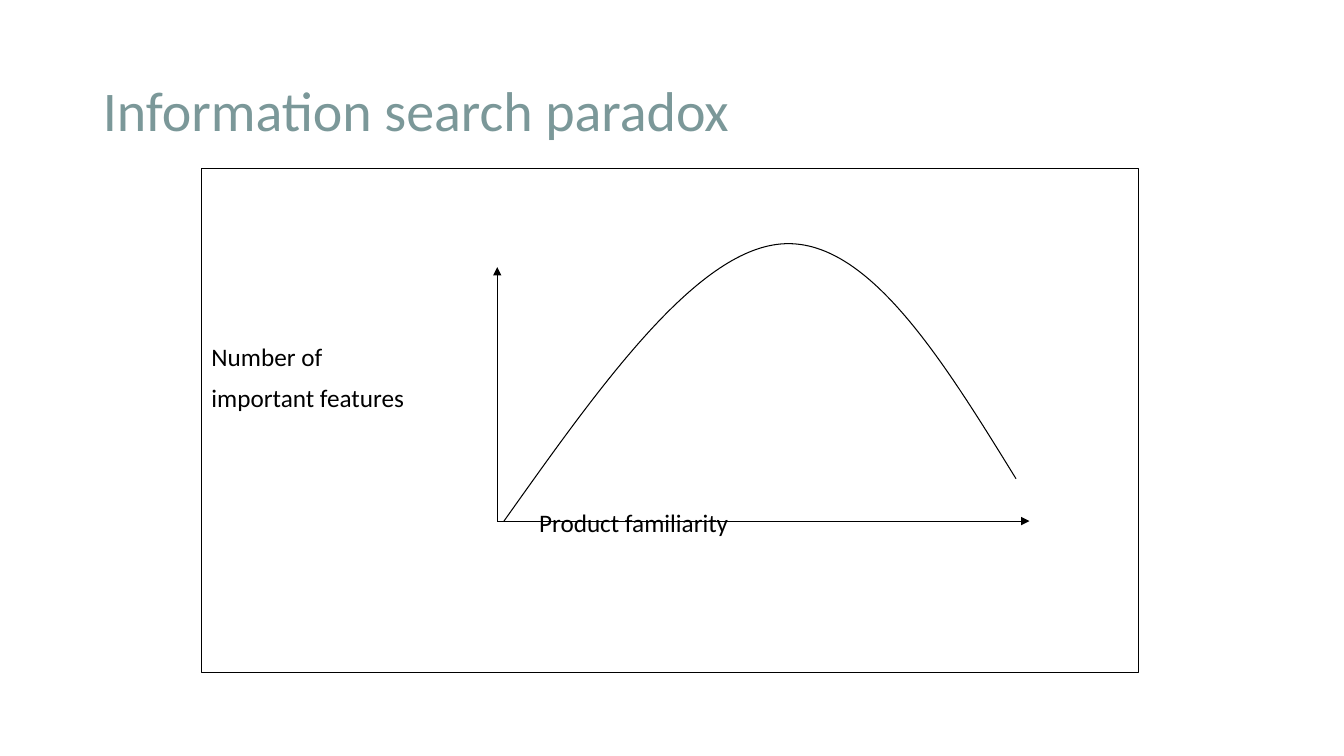
from lxml.etree import SubElement
from pptx import Presentation
from pptx.dml.color import RGBColor
from pptx.enum.shapes import MSO_CONNECTOR, MSO_SHAPE
from pptx.enum.text import MSO_ANCHOR, MSO_AUTO_SIZE, PP_ALIGN
from pptx.oxml.ns import qn
from pptx.util import Inches, Pt

WIDE, HIGH = Inches(13.33), Inches(7.5)


def color(code):
    return RGBColor.from_string(code)


class Canvas:
    """Style and slide; lengths are percentages of the slide's size."""

    font, ink, accent, weight = "Calibri", "000000", "7B9899", 0.75

    def __init__(self, deck):
        self.slide = deck.slides.add_slide(deck.slide_layouts[5])
        self.shapes = self.slide.shapes

    def spot(self, x, y):
        return round(WIDE * x / 100), round(HIGH * y / 100)

    def stroke(self, line):
        line.color.rgb = color(self.ink)
        line.width = Pt(self.weight)

    def letter(self, frame, lines, size, code):
        frame.word_wrap = True
        frame.auto_size = MSO_AUTO_SIZE.NONE
        frame.vertical_anchor = MSO_ANCHOR.MIDDLE
        frame.text = "\n".join(lines)
        for row, para in enumerate(frame.paragraphs):
            para.alignment = PP_ALIGN.LEFT
            para.line_spacing = 0.9
            para.space_before = Pt(10 if row else 0)
            para.font.name = self.font
            para.font.size = Pt(size)
            para.font.color.rgb = color(code)

    def title(self, text, x, y, w, h):
        box = self.shapes.title
        box.left, box.top = self.spot(x, y)
        box.width, box.height = self.spot(w, h)
        self.letter(box.text_frame, [text], 40, self.accent)

    def label(self, lines, x, y, w, h):
        box = self.shapes.add_textbox(*self.spot(x, y), *self.spot(w, h))
        self.letter(box.text_frame, lines, 18, self.ink)

    def frame(self, x, y, w, h):
        box = self.shapes.add_shape(
            MSO_SHAPE.RECTANGLE, *self.spot(x, y), *self.spot(w, h))
        box.shadow.inherit = False
        box.fill.background()
        self.stroke(box.line)

    def arrow(self, start, end):
        link = self.shapes.add_connector(
            MSO_CONNECTOR.STRAIGHT, *self.spot(*start), *self.spot(*end))
        self.stroke(link.line)
        props = link._element.spPr
        SubElement(props.get_or_add_ln(), qn("a:tailEnd"), type="triangle")
        SubElement(props, qn("a:effectLst"))

    def curve(self, start, *points):
        pen = self.shapes.build_freeform(*self.spot(*start))
        pen.add_line_segments([self.spot(*p) for p in points], close=False)
        shape = pen.convert_to_shape()
        shape.shadow.inherit = False
        shape.fill.background()
        self.stroke(shape.line)
        # Turn each three line steps into one cubic Bézier
        trace = shape._element.find(".//" + qn("a:path"))
        steps = trace.findall(qn("a:lnTo"))
        for first in range(0, len(steps), 3):
            bend = SubElement(trace, qn("a:cubicBezTo"))
            for step in steps[first:first + 3]:
                bend.append(step[0])
                trace.remove(step)


def main():
    deck = Presentation()
    deck.slide_width, deck.slide_height = WIDE, HIGH
    page = Canvas(deck)

    # Title and frame
    page.title("Information search paradox", 6.9, 5.33, 86.25, 19.33)
    page.frame(15, 22.27, 69.75, 66.67)

    # Axis labels
    page.label(["Number of", "important features"], 15, 44.1, 20, 12)
    page.label(["Product familiarity"], 39.38, 66.33, 18, 6)

    # Axes from a shared origin
    origin = (37, 68.93)
    for tip in ((37, 35.33), (76.6, 68.93)):
        page.arrow(origin, tip)

    # Inverted-U curve
    page.curve((37.5, 68.93),
               (44.63, 51.07), (51.75, 33.2), (58.13, 32.27),
               (64.5, 31.33), (70.05, 47.33), (75.6, 63.33))

    deck.save("out.pptx")


if __name__ == "__main__":
    main()
